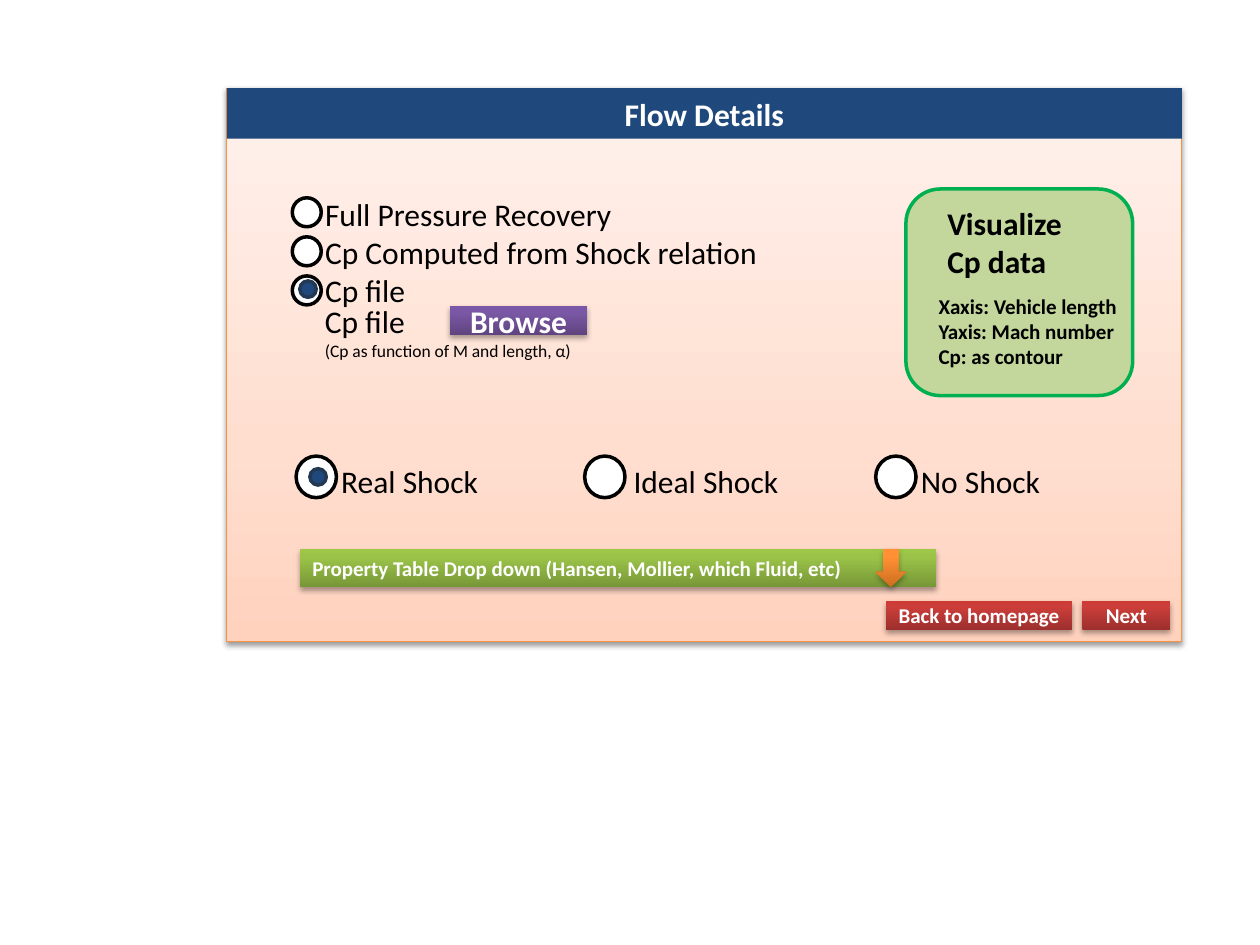
import copy

import lxml.etree
import pptx
import pptx.dml.color
import pptx.enum.shapes
import pptx.enum.text
import pptx.oxml.ns
import pptx.util

PX = 9144
KIND = pptx.enum.shapes.MSO_SHAPE
ALIGN = pptx.enum.text.PP_ALIGN
MIDDLE = pptx.enum.text.MSO_ANCHOR.MIDDLE
HEX = {
    "white": "FFFFFF", "black": "000000", "navy": "1F497D", "rim": "233953",
    "amber": "F69240", "leaf": "C3D69B", "green": "00B050",
}
FADES = {
    "peach": [(0, "FFD2BD"), (0.35, "FFDED0"), (1, "FFF2ED")],
    "purple": [(0, "5F4480"), (0.8, "7B58A6"), (1, "7C57A8")],
    "lime": [(0, "779737"), (0.8, "9BC348"), (1, "9DC746")],
    "orange": [(0, "CC6E20"), (0.8, "FF9034"), (1, "FF9136")],
    "red": [(0, "9C2F2D"), (0.8, "CB3E3A"), (1, "CE3B37")],
}


def color(text):
    """Return the colour of a hex string."""
    return pptx.dml.color.RGBColor.from_string(text)


def sub(node, tag, **attrs):
    """Append a drawing element and return it."""
    return lxml.etree.SubElement(node, pptx.oxml.ns.qn(tag), attrs)


def place(shape, box):
    """Move a shape to a box given in px."""
    shape.left, shape.top, shape.width, shape.height = [n * PX for n in box]


def draw(slide, kind, box, fill, line=None, width=2):
    """Add a plain shape with a solid fill."""
    shape = slide.shapes.add_shape(kind, *[n * PX for n in box])
    shape.shadow.inherit = False
    if fill in HEX:
        shape.fill.solid()
        shape.fill.fore_color.rgb = color(HEX[fill])
    if line:
        shape.line.color.rgb = color(HEX[line])
        shape.line.width = pptx.util.Pt(width)
    else:
        shape.line.fill.background()
    return shape


def glow(slide, kind, box, fade, line=None, width=2, alpha=35, dist=23000):
    """Add a shape with an upward gradient and a soft shadow."""
    shape = draw(slide, kind, box, fade, line, width)
    shape.fill.gradient()
    shape.fill.gradient_angle = 90
    stops = shape.element.find(".//" + pptx.oxml.ns.qn("a:gsLst"))
    stops.append(copy.deepcopy(stops[0]))
    for stop, (pos, tone) in zip(shape.fill.gradient_stops, FADES[fade]):
        stop.position = pos
        stop.color.rgb = color(tone)
    effects = shape.element.spPr.find(pptx.oxml.ns.qn("a:effectLst"))
    cast = sub(effects, "a:outerShdw", blurRad="40000", dist=str(dist),
               dir="5400000", rotWithShape="0")
    tone = sub(cast, "a:srgbClr", val=HEX["black"])
    sub(tone, "a:alpha", val=str(alpha * 1000))
    return shape


def write(shape, lines, sizes, tint="black", bold=False, align=ALIGN.LEFT,
          plain=False, tabs=()):
    """Fill a shape with one paragraph for each line."""
    frame = shape.text_frame
    frame.word_wrap = True
    frame.auto_size = pptx.enum.text.MSO_AUTO_SIZE.NONE
    frame.text = "\n".join(lines)
    for par, size in zip(frame.paragraphs, sizes):
        par.alignment = align
        par.space_before = pptx.util.Pt(0)
        props = par._p.get_or_add_pPr()
        if plain:
            props.set("marL", "0")
            props.set("indent", "0")
            sub(props, "a:buNone")
        if tabs:
            stops = sub(props, "a:tabLst")
            for tab in tabs:
                sub(stops, "a:tab", pos=str(tab * PX), algn="l")
        par.font.name = "Calibri"
        par.font.size = pptx.util.Pt(size)
        par.font.bold = bold
        par.font.color.rgb = color(HEX[tint])


def label(slide, box, lines, sizes, **style):
    """Add a text box."""
    shape = slide.shapes.add_textbox(*[n * PX for n in box])
    write(shape, lines, sizes, **style)


def button(slide, box, text, size, fade):
    """Add a shaded button with a centred caption."""
    shape = glow(slide, KIND.RECTANGLE, box, fade)
    write(shape, [text], [size], tint="white", bold=True, align=ALIGN.CENTER)
    shape.text_frame.word_wrap = False
    shape.text_frame.vertical_anchor = MIDDLE


def radio(slide, box, dot=None):
    """Add a radio ring, with a dot at an offset when it is chosen."""
    draw(slide, KIND.OVAL, box, "white", "black")
    if dot:
        spot = (box[0] + dot[0], box[1] + dot[1], 13, 13)
        draw(slide, KIND.OVAL, spot, "navy", "rim")


def panel(slide, box):
    """Draw the window and its title bar."""
    x, y, w, h = box
    back = glow(slide, KIND.RECTANGLE, box, "peach", "amber", 0.75, 38, 20000)
    back.element.getparent().insert(2, back.element)
    title = slide.shapes.title
    place(title, (x, y, w, 40))
    title.fill.solid()
    title.fill.fore_color.rgb = color(HEX["navy"])
    write(title, ["Flow Details"], [18], tint="white", bold=True,
          align=ALIGN.CENTER)


def source(slide, x, y):
    """Place the pressure choices and the file picker."""
    body = slide.placeholders[1]
    place(body, (x + 16, y, 383, 101))
    write(body, ["Full Pressure Recovery", "Cp Computed from Shock relation",
                 "Cp file"], [18] * 3, plain=True)
    for row, dot in enumerate([None, None, (6, 4)]):
        radio(slide, (x, y + 7 + 31 * row, 23, 23), dot)
    label(slide, (x + 16, y + 85, 344, 57),
          ["Cp file", "(Cp as function of M and length, α)"], [18, 10])
    button(slide, (x + 125, y + 93, 109, 23), "Browse", 18, "purple")


def chart(slide, box):
    """Place the card that offers the contour view."""
    x, y, w, h = box
    draw(slide, KIND.ROUNDED_RECTANGLE, box, "leaf", "green")
    label(slide, (x + 23, y + 7, 133, 71), ["Visualize Cp data"], [18],
          bold=True)
    label(slide, (x + 16, y + 78, 219, 71),
          ["Xaxis: Vehicle length", "Yaxis: Mach number", "Cp: as contour"],
          [12] * 3, bold=True)


def shock(slide, x, y):
    """Place the row of shock choices."""
    label(slide, (x + 26, y, 656, 40), ["Real Shock\tIdeal Shock\tNo Shock"],
          [18], tabs=(232, 460))
    for left, dot in ((0, (11, 10)), (229, None), (460, None)):
        radio(slide, (x + left, y, 32, 33), dot)


def table(slide, box):
    """Place the drop-down bar and its arrow."""
    x, y, w, h = box
    bar = glow(slide, KIND.RECTANGLE, box, "lime")
    write(bar, ["Property Table Drop down (Hansen, Mollier, which Fluid, etc)"],
          [12], tint="white", bold=True)
    bar.text_frame.vertical_anchor = MIDDLE
    glow(slide, KIND.DOWN_ARROW, (x + 457, y, 24, h), "orange")


def main():
    """Build the slide and save it."""
    deck = pptx.Presentation()
    deck.slide_width, deck.slide_height = 1000 * PX, 750 * PX
    slide = deck.slides.add_slide(deck.slide_layouts[1])
    panel(slide, (180, 70, 758, 439))
    source(slide, 232, 150)
    chart(slide, (719, 150, 180, 164))
    shock(slide, 235, 362)
    table(slide, (238, 436, 505, 30))
    button(slide, (703, 477, 148, 23), "Back to homepage", 12, "red")
    button(slide, (859, 477, 70, 23), "Next", 12, "red")
    deck.save("out.pptx")


if __name__ == "__main__":
    main()
